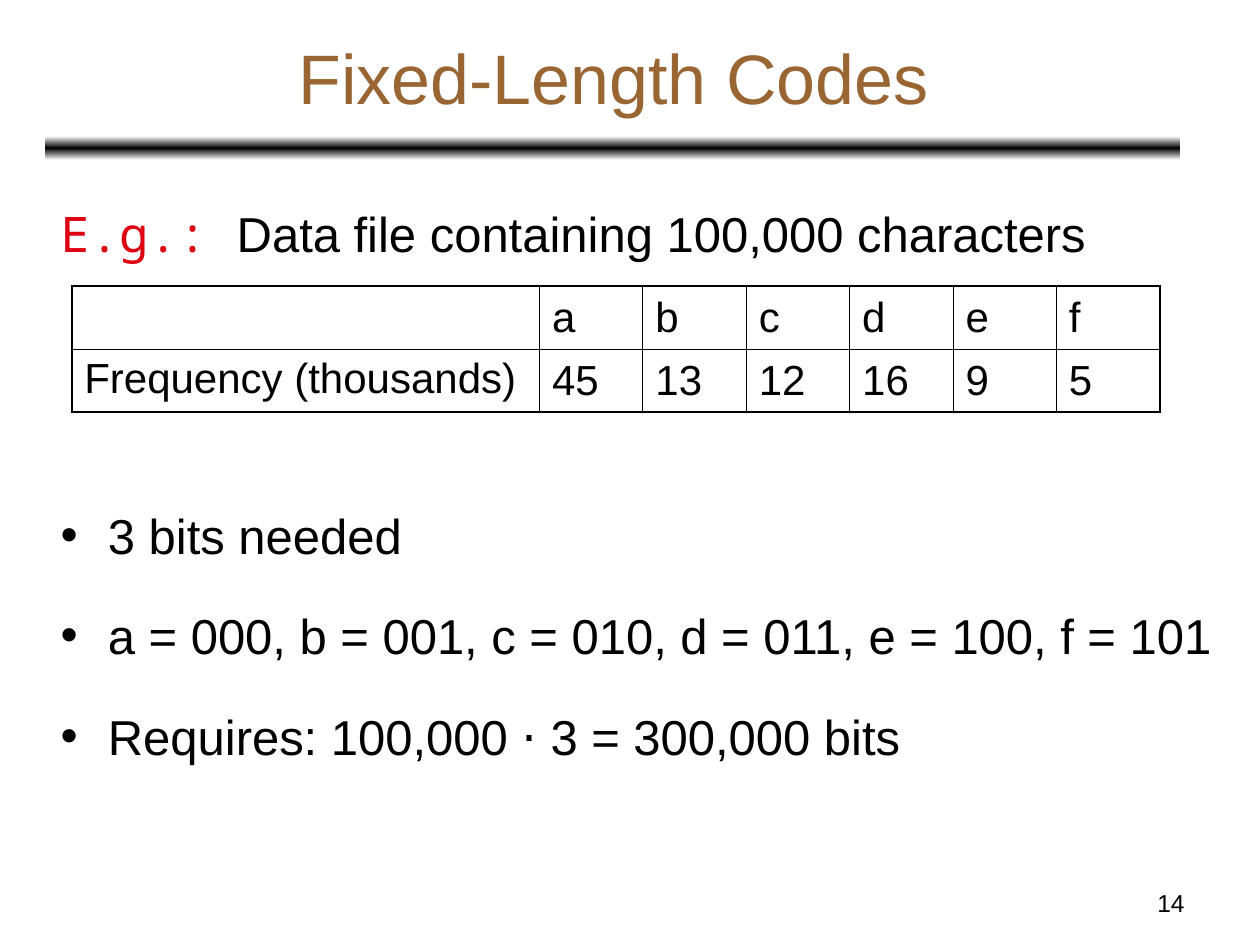
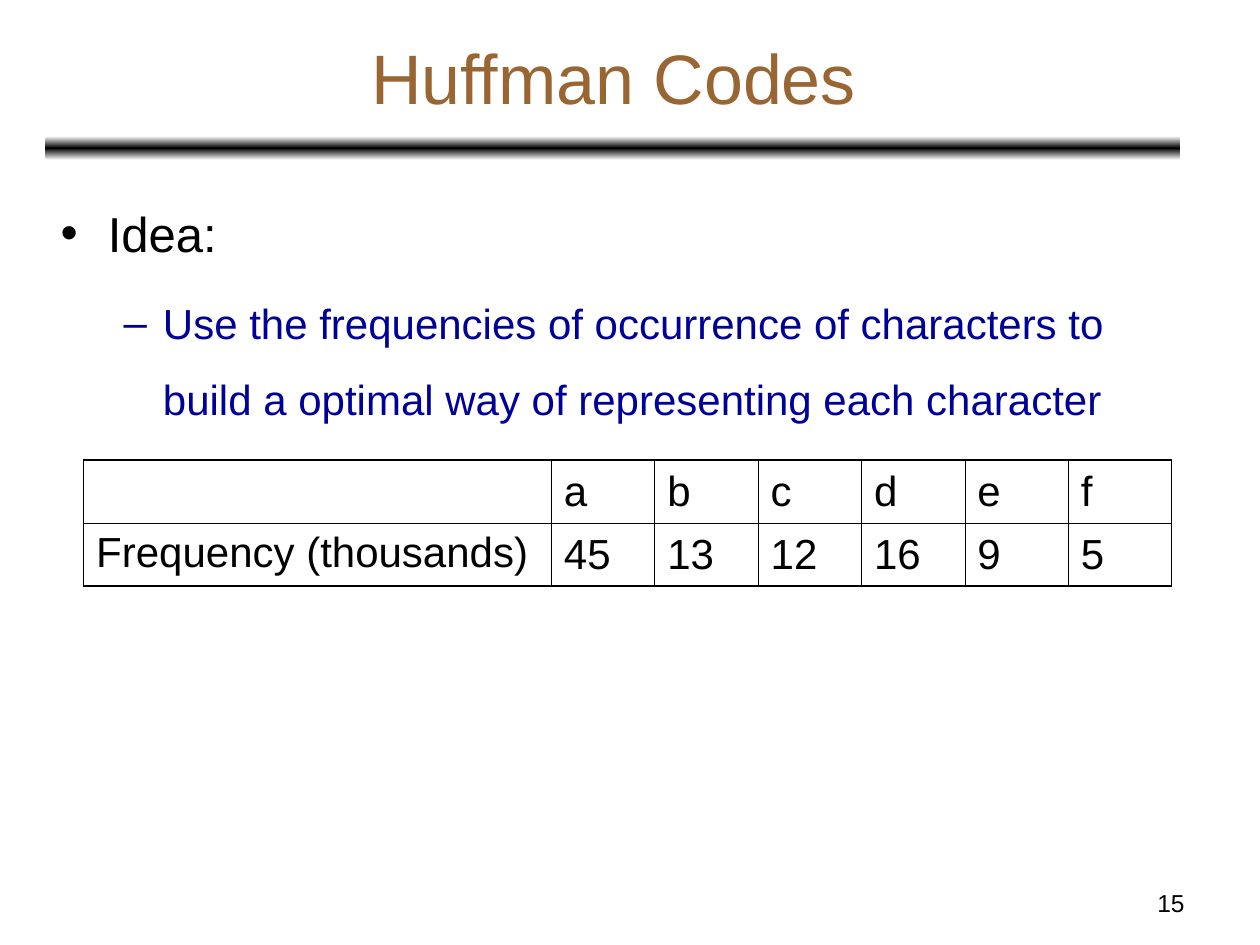
from copy import deepcopy

from lxml.etree import SubElement
from pptx import Presentation
from pptx.dml.color import RGBColor
from pptx.enum.shapes import MSO_SHAPE as Shape
from pptx.enum.text import MSO_ANCHOR as Anchor, MSO_AUTO_SIZE as AutoSize, PP_ALIGN as Align
from pptx.oxml.ns import qn
from pptx.util import Pt

# Shared style
BLACK, WHITE = "000000", "FFFFFF"
BROWN, RED, NAVY = "996633", "DD0111", "000099"
SANS, MONO = "Arial", "Noto Sans Mono"
OUTER_LINE, INNER_LINE = 1.08, 0.45
TITLE_BOX = (26.6, 7.9, 648, 71.3)
BAND_BOX = (26, 77.8, 648.7, 13.7)
NUMBER_BOX = (516.2, 504, 167.8, 25.2)

# Table content and grid
FREQUENCIES = [["", "a", "b", "c", "d", "e", "f"],
               ["Frequency (thousands)", "45", "13", "12", "16", "9", "5"]]
LABEL_WIDTH, LETTER_WIDTH, ROW_HEIGHT = 267.3, 59.1, 36


def rgb(hex_color):
    return RGBColor.from_string(hex_color)


def points(box):
    return [Pt(length) for length in box]


def place(shape, box):
    shape.left, shape.top, shape.width, shape.height = points(box)


def write(paragraph, text, size=28, color=BLACK, font=SANS):
    run = paragraph.add_run()
    run.text = text
    run.font.size = Pt(size)
    run.font.name = font
    run.font.color.rgb = rgb(color)


def add_band(slide):
    band = slide.shapes.add_shape(Shape.ROUNDED_RECTANGLE, *points(BAND_BOX))
    band.shadow.inherit = False
    band.line.fill.background()
    band.fill.gradient()
    band.fill.gradient_angle = 90
    stop_list = next(band.element.iter(qn("a:gsLst")))
    stop_list.append(deepcopy(stop_list[0]))
    for stop, position, color in zip(band.fill.gradient_stops, (0, 0.5, 1), (WHITE, BLACK, WHITE)):
        stop.position = position
        stop.color.rgb = rgb(color)


def add_page(deck, title, number, body_box):
    """Add a slide with title, band and number; return it with its body frame."""
    slide = deck.slides.add_slide(deck.slide_layouts[1])
    add_band(slide)

    heading = slide.shapes.title
    place(heading, TITLE_BOX)
    heading.text_frame.vertical_anchor = Anchor.MIDDLE
    heading_line = heading.text_frame.paragraphs[0]
    heading_line.alignment = Align.CENTER
    write(heading_line, title, size=40, color=BROWN)

    page_number = slide.shapes.add_textbox(*points(NUMBER_BOX)).text_frame
    page_number.word_wrap = True
    page_number.paragraphs[0].alignment = Align.RIGHT
    write(page_number.paragraphs[0], str(number), size=14)

    body = slide.placeholders[1]
    place(body, body_box)
    body.text_frame.auto_size = AutoSize.NONE
    return slide, body.text_frame


def add_item(body, *parts, bullet="•", color=BLACK, level=0, margin=27, hang=27, before=7):
    """Add a list line; each part is a text with its format."""
    first = body.paragraphs[0]
    item = body.add_paragraph() if first.runs else first
    item.level = level
    item.line_spacing = 1.5
    item.space_before = Pt(before)
    properties = item._p.get_or_add_pPr()
    properties.set("marL", str(Pt(margin)))
    properties.set("indent", str(-Pt(hang)))
    if bullet:
        bullet_color = SubElement(properties, qn("a:buClr"))
        SubElement(bullet_color, qn("a:srgbClr"), val=color)
        SubElement(properties, qn("a:buFont"), typeface=SANS)
        SubElement(properties, qn("a:buChar"), char=bullet)
    else:
        SubElement(properties, qn("a:buNone"))
    for text, text_format in parts:
        write(item, text, **text_format)


def draw_borders(cell, outer_sides):
    properties = cell._tc.get_or_add_tcPr()
    for side in "LRTB":
        width = OUTER_LINE if side in outer_sides else INNER_LINE
        border = SubElement(properties, qn(f"a:ln{side}"), w=str(Pt(width)))
        fill = SubElement(border, qn("a:solidFill"))
        SubElement(fill, qn("a:srgbClr"), val=BLACK)


def add_frequency_table(slide, left, top):
    rows, columns = len(FREQUENCIES), len(FREQUENCIES[0])
    width = LABEL_WIDTH + (columns - 1) * LETTER_WIDTH
    box = points((left, top, width, rows * ROW_HEIGHT))
    table = slide.shapes.add_table(rows, columns, *box).table
    table.first_row = table.horz_banding = False
    for c, column in enumerate(table.columns):
        column.width = Pt(LETTER_WIDTH if c else LABEL_WIDTH)
    for r, texts in enumerate(FREQUENCIES):
        for c, text in enumerate(texts):
            cell = table.cell(r, c)
            edges = {"T": r == 0, "B": r == rows - 1, "L": c == 0, "R": c == columns - 1}
            draw_borders(cell, [side for side, is_outer in edges.items() if is_outer])
            cell.fill.background()
            if c:
                cell.vertical_anchor = Anchor.MIDDLE
            if text:
                entry = cell.text_frame.paragraphs[0]
                entry.space_before = Pt(6)
                write(entry, text, size=24)


def main():
    deck = Presentation()
    deck.slide_width, deck.slide_height = Pt(720), Pt(540)

    # Fixed-length codes
    slide, body = add_page(deck, "Fixed-Length Codes", 14, (27.4, 95.8, 682.6, 425.5))
    add_item(body, ("E.g.: ", {"color": RED, "font": MONO}),
             ("Data file containing 100,000 characters", {}), bullet=None)
    # The first bullet leaves room for the table
    add_item(body, ("3 bits needed", {}), before=122)
    add_item(body, ("a = 000, b = 001, c = 010, d = 011, e = 100, f = 101", {}))
    add_item(body, ("Requires: 100,000 ⋅ 3 = 300,000 bits", {}))
    add_frequency_table(slide, 41, 163.5)

    # Huffman codes
    slide, body = add_page(deck, "Huffman Codes", 15, (27.4, 95.8, 648, 399.6))
    add_item(body, ("Idea:", {}))
    add_item(body, ("Use the frequencies of occurrence of characters to build a optimal way "
                    "of representing each character", {"size": 24, "color": NAVY}),
             bullet="–", color=NAVY, level=1, margin=58.5, hang=22.5, before=6)
    add_frequency_table(slide, 47.8, 262.8)

    deck.save("out.pptx")


if __name__ == "__main__":
    main()
